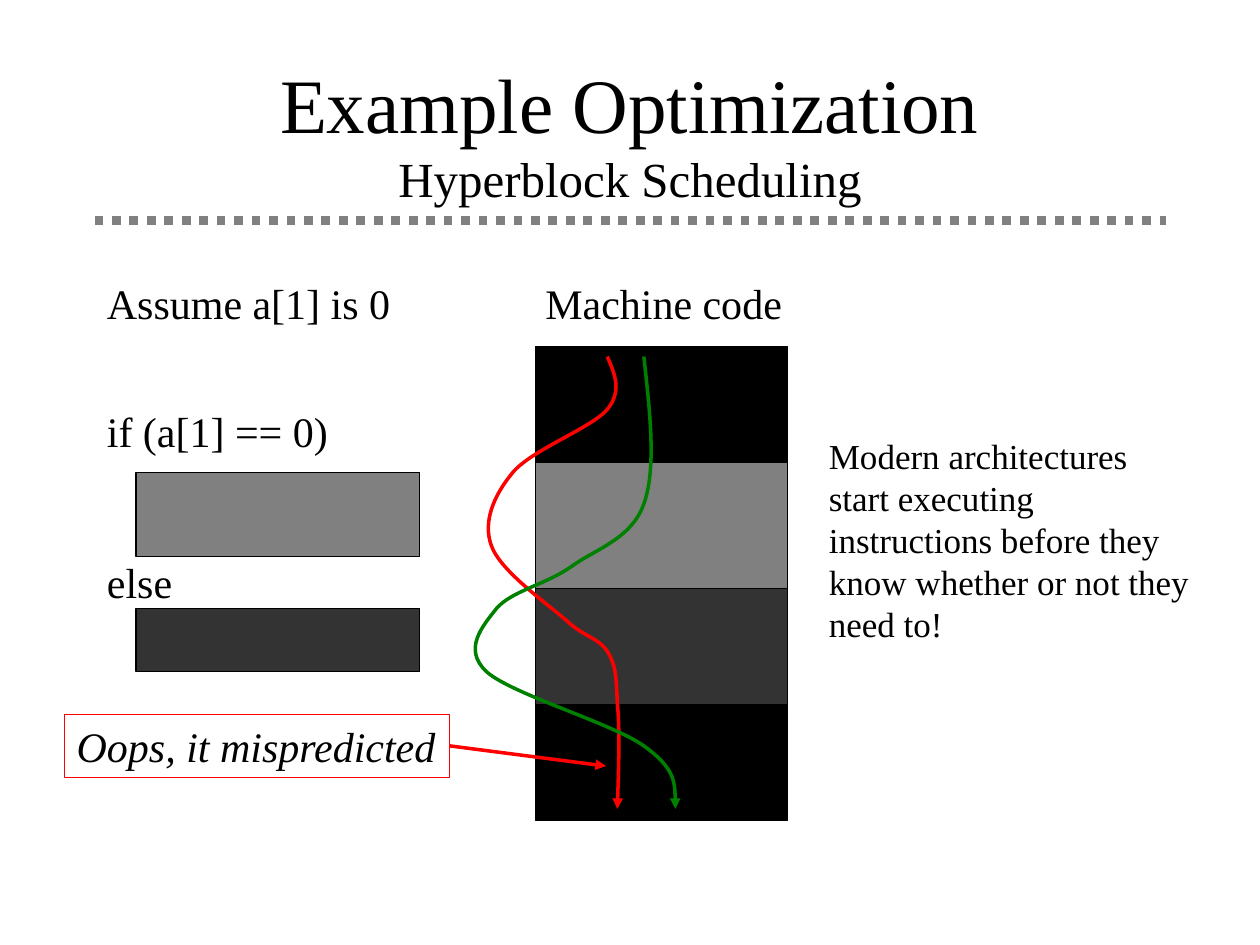
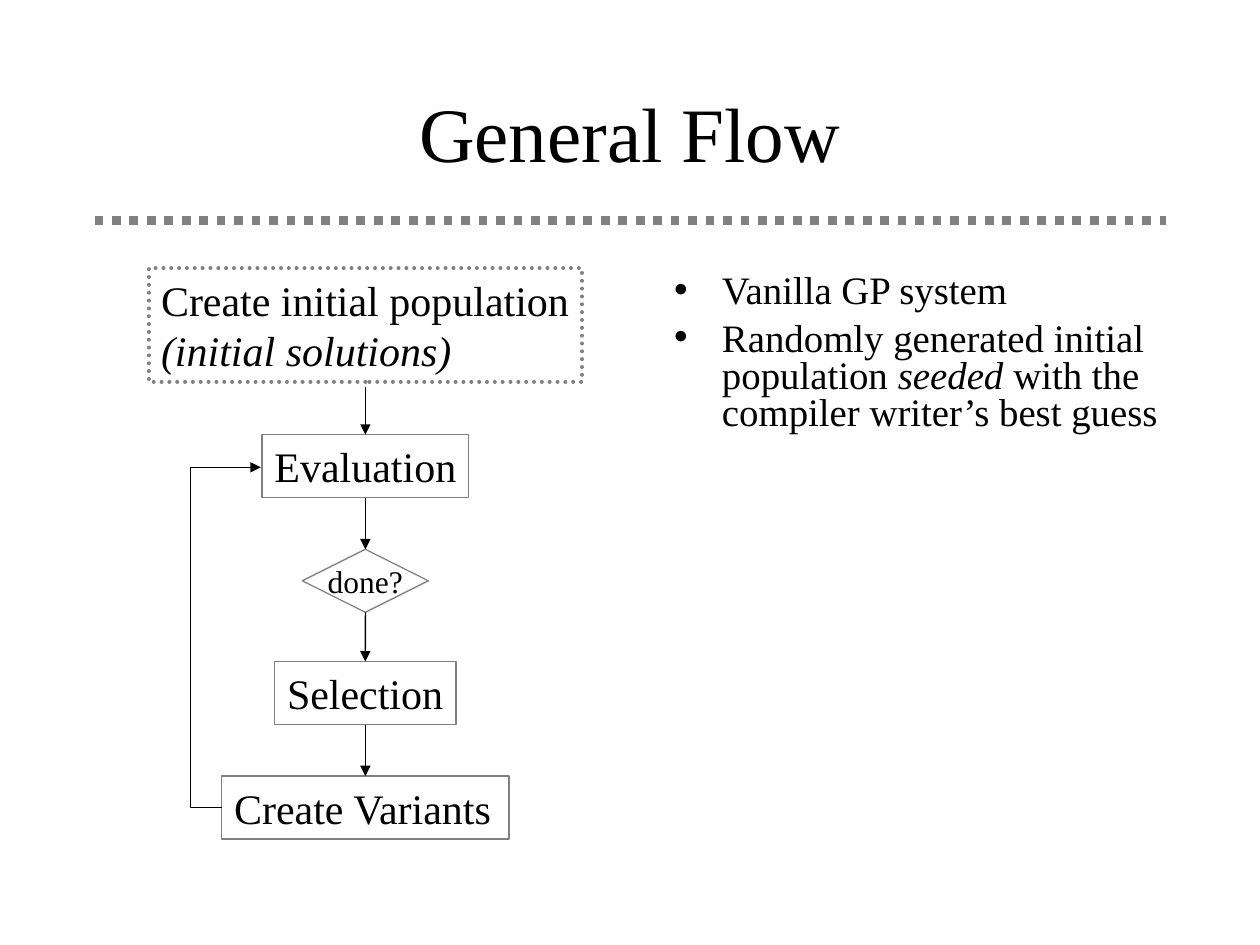
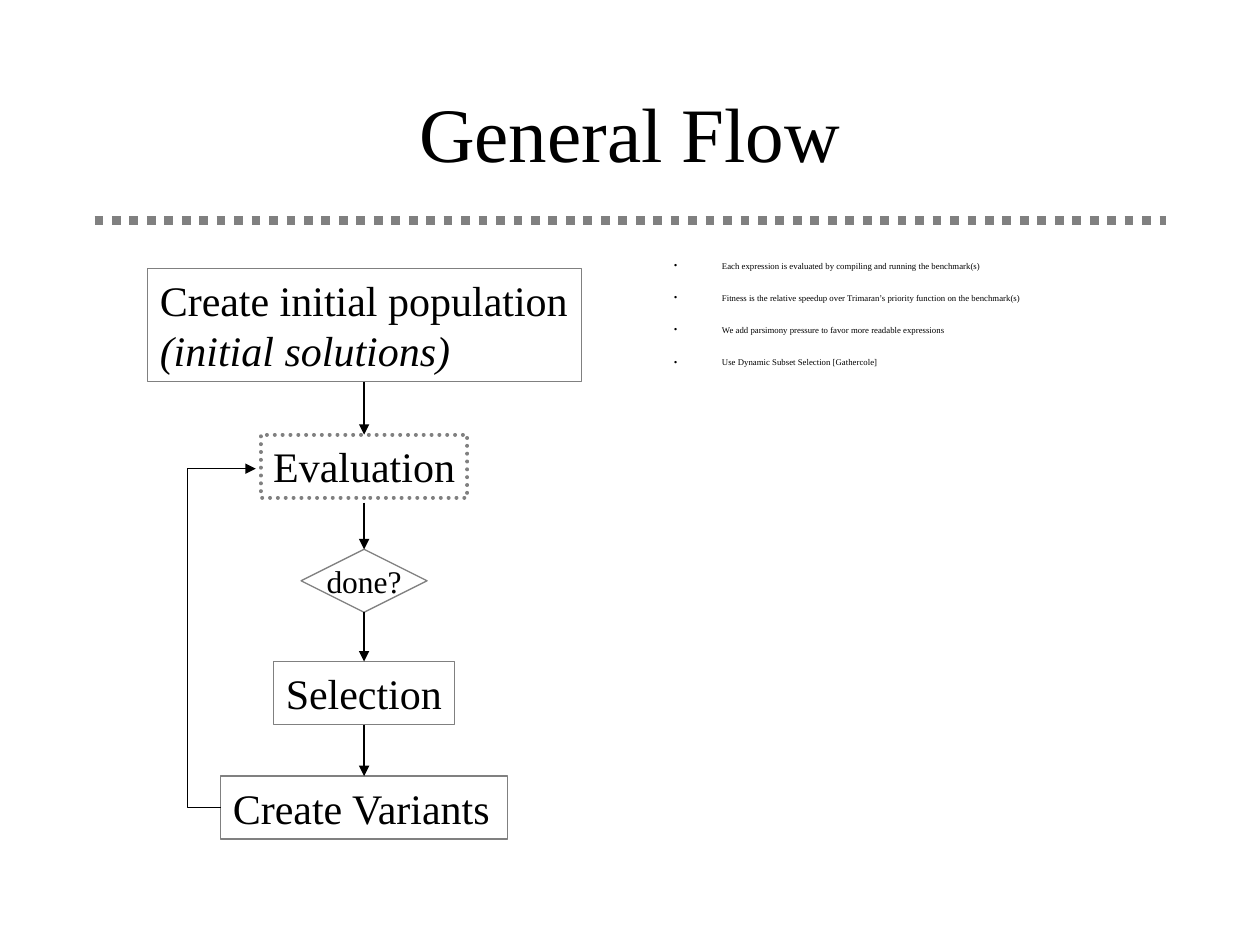
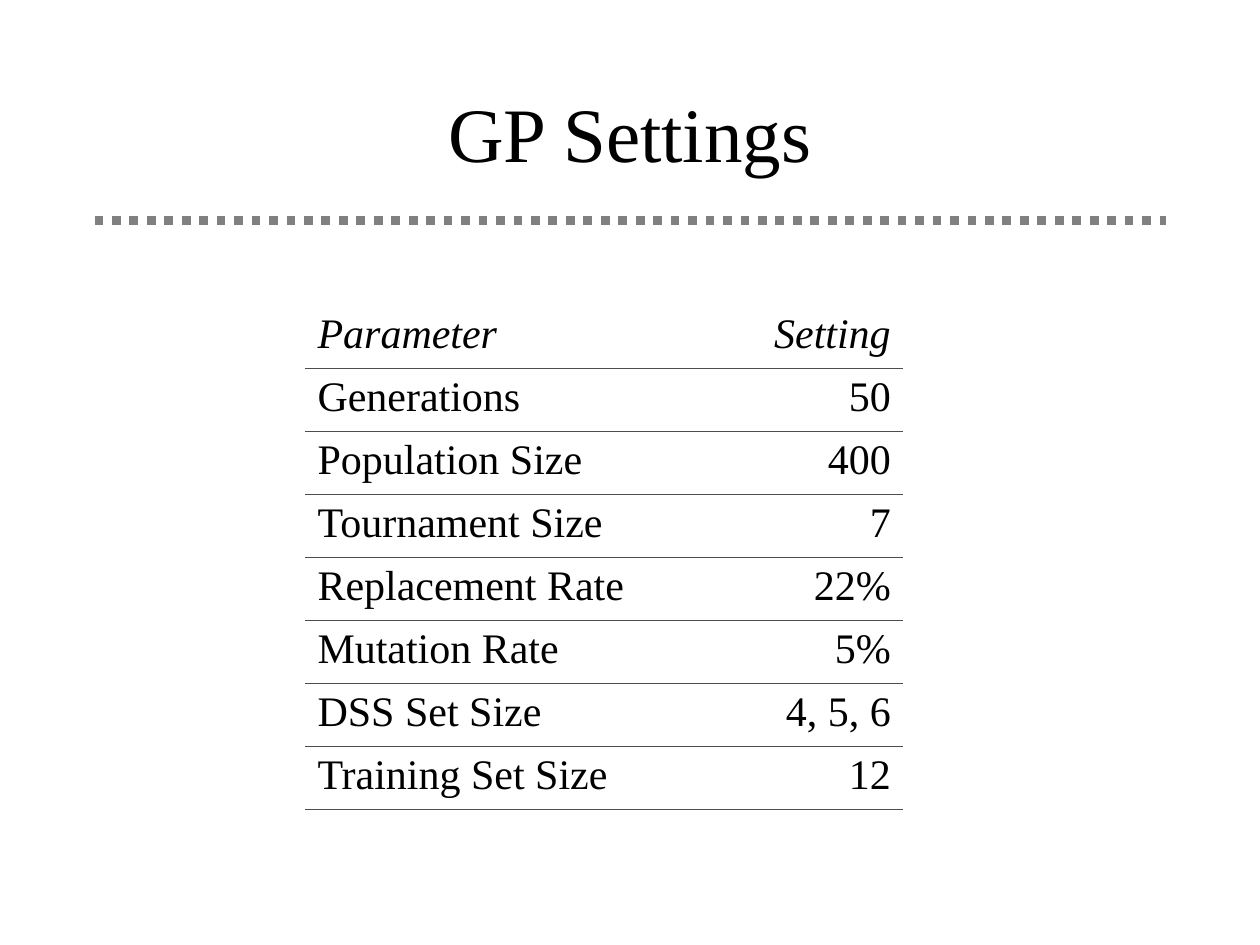
from itertools import pairwise

from lxml.etree import SubElement as Sub
from pptx import Presentation
from pptx.dml.color import RGBColor
from pptx.enum.dml import MSO_LINE as Dash
from pptx.enum.shapes import MSO_CONNECTOR as Conn, MSO_SHAPE as Geom
from pptx.enum.text import MSO_ANCHOR as Anchor, MSO_AUTO_SIZE as Auto, PP_ALIGN as Align
from pptx.oxml.ns import qn
from pptx.util import Inches, Pt

BLACK = RGBColor(0x00, 0x00, 0x00)
WHITE = RGBColor(0xFF, 0xFF, 0xFF)
GRAY = RGBColor(0x80, 0x80, 0x80)
DARK = RGBColor(0x33, 0x33, 0x33)
EDGE = RGBColor(0x4D, 0x4D, 0x4D)
RED = RGBColor(0xFF, 0x00, 0x00)
GREEN = RGBColor(0x00, 0x80, 0x00)
FONT = "Times New Roman"
NO_STYLE = "{2D5ABB26-0587-4C30-8999-92F81FD0307C}"
TITLE, LIST = 5, 1  # layout numbers

# Curves: a start point, then three points for each Bezier segment
MISS = [(4.82, 2.83), (4.88, 2.97), (4.94, 3.1), (4.82, 3.25),
        (4.69, 3.4), (4.22, 3.57), (4.07, 3.75),
        (3.92, 3.93), (3.83, 4.14), (3.9, 4.33),
        (3.97, 4.53), (4.33, 4.78), (4.49, 4.92),
        (4.64, 5.06), (4.75, 5.06), (4.82, 5.17),
        (4.89, 5.28), (4.89, 5.37), (4.9, 5.58),
        (4.92, 5.79), (4.91, 6.1), (4.9, 6.42)]
HIT = [(5.11, 2.83), (5.16, 3.28), (5.21, 3.72), (5.11, 4),
       (5.01, 4.28), (4.72, 4.36), (4.53, 4.5),
       (4.33, 4.64), (4.06, 4.69), (3.94, 4.83),
       (3.83, 4.97), (3.67, 5.15), (3.86, 5.33),
       (4.06, 5.51), (4.86, 5.74), (5.11, 5.92),
       (5.36, 6.1), (5.36, 6.26), (5.36, 6.42)]

# Flow nodes: paragraphs, top, width, height, line width
NODES = [
    (["Create initial population", [("(initial solutions)", True)]], 2.13, 3.44, 0.9, 0.25),
    (["Evaluation"], 3.45, 1.64, 0.5, 0.75),
    (["done?"], 4.36, 1, 0.5, 0.75),
    (["Selection"], 5.25, 1.44, 0.5, 0.75),
    (["Create Variants"], 6.16, 2.28, 0.5, 0.75),
]

SETTINGS = [
    ("Parameter", "Setting"), ("Generations", "50"), ("Population Size", "400"),
    ("Tournament Size", "7"), ("Replacement Rate", "22%"), ("Mutation Rate", "5%"),
    ("DSS Set Size", "4, 5, 6"), ("Training Set Size", "12"),
]


# Text
def style(font, **more):
    for key, val in {"name": FONT, "size": Pt(24), **more}.items():
        setattr(font, key, val)
    font.color.rgb = BLACK


def write(frame, paras, size=24, align=Align.LEFT, gap=0, lead=None, bullet=False):
    """Fill a frame; a paragraph is a string or a list of (text, italic)."""
    for i, runs in enumerate(paras):
        para = frame.paragraphs[0] if i == 0 else frame.add_paragraph()
        if bullet:
            props = para._p.get_or_add_pPr()
            props.set("marL", str(Inches(0.38)))
            props.set("indent", str(-Inches(0.38)))
            Sub(props, qn("a:buChar")).set("char", "•")
        form = {"alignment": align, "space_before": Pt(gap if i else 0), "line_spacing": lead}
        for key, val in form.items():
            setattr(para, key, val)
        for text, slant in [(runs, False)] if isinstance(runs, str) else runs:
            run = para.add_run()
            run.text = text
            style(run.font, size=Pt(size), italic=slant)


def place(shape, left, top, wide, high):
    spot = {"left": left, "top": top, "width": wide, "height": high}
    for key, val in spot.items():
        setattr(shape, key, Inches(val))


def label(slide, paras, left, top, wide, high, wrap=False, **form):
    box = slide.shapes.add_textbox(*map(Inches, (left, top, wide, high)))
    box.text_frame.word_wrap = wrap
    write(box.text_frame, paras, **form)


def page(deck, layout, title, sub=None):
    slide = deck.slides.add_slide(deck.slide_layouts[layout])
    head = slide.shapes.title
    place(head, 0.75, 0.42, 8.5, 1.25)
    frame = head.text_frame
    frame.auto_size = Auto.NONE
    frame.vertical_anchor = Anchor.MIDDLE
    write(frame, [title], size=44, align=Align.CENTER)
    if sub:
        para = frame.paragraphs[0]
        para.add_line_break()
        run = para.add_run()
        run.text = sub
        style(run.font, size=Pt(28))
    return slide


def points(slide, paras, top, **form):
    body = slide.placeholders[1]
    place(body, 5.25, top, 4.17, 1.69)
    body.text_frame.auto_size = Auto.NONE
    write(body.text_frame, paras, bullet=True, **form)


# Shapes and lines
def pen(shape, color, width, head=False):
    shape.line.color.rgb = color
    shape.line.width = Pt(width)
    if head:
        Sub(shape.line._get_or_add_ln(), qn("a:tailEnd")).set("type", "triangle")


def block(slide, left, top, wide, high, fill=None, line=BLACK, width=0.75, kind=Geom.RECTANGLE):
    shape = slide.shapes.add_shape(kind, *map(Inches, (left, top, wide, high)))
    shape.shadow.inherit = False
    if fill is None:
        shape.fill.background()
    else:
        shape.fill.solid()
        shape.fill.fore_color.rgb = fill
    pen(shape, line, width)
    return shape


def caption(shape, paras, **form):
    frame = shape.text_frame
    frame.word_wrap = False
    frame.vertical_anchor = Anchor.TOP
    write(frame, paras, **form)


def link(slide, start, end, color=BLACK, width=0.75, kind=Conn.STRAIGHT, head=True):
    line = slide.shapes.add_connector(kind, *map(Inches, (*start, *end)))
    pen(line, color, width, head)
    Sub(line._element.spPr, qn("a:effectLst"))
    return line


def curve(slide, dots, color):
    first, *rest = [(Inches(x), Inches(y)) for x, y in dots]
    maker = slide.shapes.build_freeform(*first, scale=1.0)
    maker.add_line_segments(rest, close=False)
    shape = maker.convert_to_shape()
    shape.shadow.inherit = False
    shape.fill.background()
    pen(shape, color, 2, head=True)
    # Turn each three straight segments into one Bezier segment
    track = next(shape._element.iter(qn("a:path")))
    steps = track.findall(qn("a:lnTo"))
    for i in range(0, len(steps), 3):
        bend = Sub(track, qn("a:cubicBezTo"))
        for step in steps[i:i + 3]:
            bend.append(step[0])
            track.remove(step)


def rule(deck, slide):
    """Draw the dotted title rule and move it to the master."""
    line = link(slide, (0.75, 1.75), (9.25, 1.75), GRAY, 5, head=False)
    line.line.dash_style = Dash.ROUND_DOT
    deck.slide_master.shapes.element.append(line._element)


# Flow chart
def flow(slide, mid, active, tip, turn):
    """Centre the nodes on mid; tip ends the loop, turn is its left edge."""
    nodes = []
    for i, (paras, top, wide, high, width) in enumerate(NODES):
        test = paras == ["done?"]
        kind = Geom.FLOWCHART_DECISION if test else Geom.RECTANGLE
        node = block(slide, mid - wide / 2, top, wide, high, None if i else WHITE,
                     GRAY, 2.25 if i == active else width, kind)
        if test:
            caption(node, paras, size=18, align=Align.CENTER)
            node.text_frame.vertical_anchor = Anchor.MIDDLE
        else:
            caption(node, paras)
        if i == active:
            node.line.dash_style = Dash.ROUND_DOT
            node.line._get_or_add_ln().set("cap", "rnd")
        nodes.append(node)
    for i, (above, below) in enumerate(pairwise(nodes)):
        foot = NODES[i][1] + NODES[i][3]
        line = link(slide, (mid, foot + 0.04), (mid, NODES[i + 1][1]))
        if i != active:
            line.begin_connect(above, 2)
        line.end_connect(below, 0)
    # Loop back to evaluation
    left = mid - NODES[-1][2] / 2
    loop = link(slide, (left, 6.41), tip, kind=Conn.ELBOW)
    guide = Sub(next(loop._element.iter(qn("a:avLst"))), qn("a:gd"))
    guide.set("name", "adj1")
    guide.set("fmla", f"val {round((turn - left) / (tip[0] - left) * 100000)}")


# Table
def edge(cell):
    line = cell._tc.get_or_add_tcPr().makeelement(qn("a:lnB"), {"w": str(Pt(0.45))})
    Sub(Sub(line, qn("a:solidFill")), qn("a:srgbClr")).set("val", str(EDGE))
    cell._tc.tcPr.insert(0, line)


def grid(slide, rows, left, top, cols, high):
    size = (left, top, sum(cols), high * len(rows))
    table = slide.shapes.add_table(len(rows), len(cols), *map(Inches, size)).table
    table.first_row = table.horz_banding = False
    next(table._tbl.iter(qn("a:tableStyleId"))).text = NO_STYLE
    for col, wide in zip(table.columns, cols):
        col.width = Inches(wide)
    for r, row in enumerate(rows):
        table.rows[r].height = Inches(high)
        for c, text in enumerate(row):
            cell = table.cell(r, c)
            cell.fill.background()
            edge(cell)
            write(cell.text_frame, [[(text, r == 0)]], align=Align.RIGHT if c else Align.LEFT)


# Slides
def sched(deck):
    slide = page(deck, TITLE, "Example Optimization", "Hyperblock Scheduling")
    rule(deck, slide)
    # Source code
    label(slide, ["Assume a[1] is 0"], 0.75, 2.15, 2.53, 0.5)
    label(slide, ["if (a[1] == 0)", "else"], 0.75, 3.17, 2.75, 2.1, gap=57.6)
    block(slide, 1.08, 3.75, 2.25, 0.67, GRAY)
    block(slide, 1.08, 4.83, 2.25, 0.5, DARK)
    # Machine code
    label(slide, ["Machine code"], 4.23, 2.15, 2.08, 0.5)
    top = 2.75
    for high, fill in [(0.92, BLACK), (1, GRAY), (0.92, DARK), (0.92, BLACK)]:
        block(slide, 4.25, top, 2, high, fill)
        top += high
    label(slide, ["Modern architectures start executing instructions before they know "
                  "whether or not they need to!"], 6.48, 3.4, 3.1, 1.77, wrap=True, size=20)
    # Predicted and real routes
    curve(slide, MISS, RED)
    oops = block(slide, 0.51, 5.67, 3.06, 0.5, line=RED)
    caption(oops, [[("Oops, it mispredicted", True)]])
    link(slide, (3.57, 5.92), (4.81, 6.08), RED, 2).begin_connect(oops, 3)
    curve(slide, HIT, GREEN)


def start(deck):
    slide = page(deck, LIST, "General Flow")
    flow(slide, 2.9, 0, (2.07, 3.71), 1.51)
    points(slide, [
        "Vanilla GP system",
        [("Randomly generated initial population ", False), ("seeded", True),
         (" with the compiler writer’s best guess", False)],
    ], 2.13, size=22.2, gap=6, lead=0.8)


def score(deck):
    slide = page(deck, LIST, "General Flow")
    flow(slide, 2.89, 1, (2.03, 3.72), 1.49)
    points(slide, [
        "Each expression is evaluated by compiling and running the benchmark(s)",
        "Fitness is the relative speedup over Trimaran’s priority function on the benchmark(s)",
        "We add parsimony pressure to favor more readable expressions",
        "Use Dynamic Subset Selection [Gathercole]",
    ], 2.04, size=5, gap=14.2, lead=0.7)


def setup(deck):
    slide = page(deck, TITLE, "GP Settings")
    grid(slide, SETTINGS, 2.42, 2.42, (2.81, 1.94), 0.5)


def main():
    deck = Presentation()
    deck.slide_width, deck.slide_height = Inches(10), Inches(7.5)
    for make in (sched, start, score, setup):
        make(deck)
    deck.save("out.pptx")


if __name__ == "__main__":
    main()
